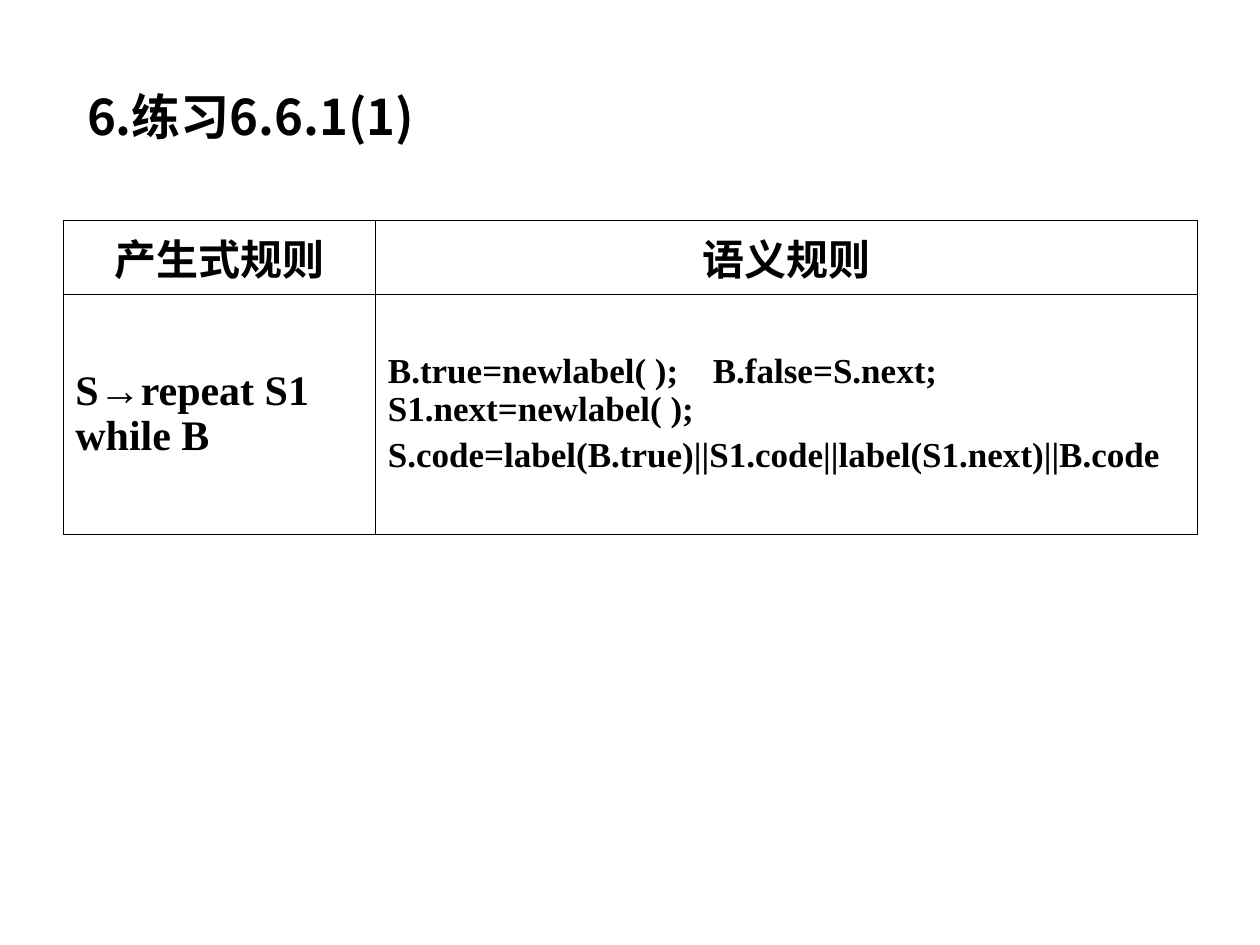
from lxml import etree
from pptx import Presentation
from pptx import util as u
from pptx.dml.color import RGBColor
from pptx.enum import text
from pptx.oxml.ns import qn

COLORS = {"ink": "000000", "paper": "FFFFFF"}
CJK, SERIF, SANS = "Noto Sans CJK SC", "Times New Roman", "Arial"


def add_run(p, words, font, size):
    r = p.add_run()
    r.text = words
    r.font.name = font
    r.font.size = u.Pt(size)
    r.font.bold = True
    r.font.color.rgb = RGBColor.from_string(COLORS["ink"])
    etree.SubElement(r.font._element, qn("a:ea"), typeface=font)


def add_borders(cell):
    tcPr = cell._tc.get_or_add_tcPr()
    for i, side in enumerate(("lnL", "lnR", "lnT", "lnB")):
        ln = etree.Element(qn(f"a:{side}"), w=str(u.Pt(0.45)))
        fill = etree.SubElement(ln, qn("a:solidFill"))
        etree.SubElement(fill, qn("a:srgbClr"), val=COLORS["ink"])
        tcPr.insert(i, ln)


prs = Presentation()
prs.slide_width, prs.slide_height = u.Cm(25.4), u.Cm(19.05)
s = prs.slides.add_slide(prs.slide_layouts[5])

title = s.shapes.title
title.left, title.top = u.Cm(1.5), u.Cm(1.73)
title.width, title.height = u.Cm(22.4), u.Cm(1.98)
tf = title.text_frame
tf.auto_size = text.MSO_AUTO_SIZE.NONE
tf.vertical_anchor = text.MSO_ANCHOR.TOP
p = tf.paragraphs[0]
p.alignment = text.PP_ALIGN.LEFT
p.line_spacing = 0.93
add_run(p, "6.练习6.6.1(1)", CJK, 28)

CENTER, LEFT = text.PP_ALIGN.CENTER, text.PP_ALIGN.LEFT
rows = [
    [
        (CENTER, 6, 24, [[("产生式规则", CJK)]]),
        (CENTER, 6, 24, [[("语义规则", CJK)]]),
    ],
    [
        (LEFT, 6, 24, [[("S", SERIF), ("→", SANS), ("repeat S1 while B", SERIF)]]),
        (LEFT, 5, 20, [
            [("B.true=newlabel( );\tB.false=S.next; S1.next=newlabel( );", SERIF)],
            [("S.code=label(B.true)||S1.code||label(S1.next)||B.code", SERIF)],
        ]),
    ],
]

frame = s.shapes.add_table(2, 2, u.Cm(1.27), u.Cm(4.45), u.Cm(22.86), u.Cm(6.32))
table = frame.table
table.first_row = False
table.horz_banding = False
for col, width in zip(table.columns, (6.3, 16.56)):
    col.width = u.Cm(width)
for row, height in zip(table.rows, (1.49, 4.83)):
    row.height = u.Cm(height)

for i, row in enumerate(rows):
    for j, (align, before, size, lines) in enumerate(row):
        cell = table.cell(i, j)
        cell.fill.solid()
        cell.fill.fore_color.rgb = RGBColor.from_string(COLORS["paper"])
        add_borders(cell)
        cell.vertical_anchor = text.MSO_ANCHOR.MIDDLE
        cell.margin_left = cell.margin_right = u.Cm(0.25)
        cell.margin_top = cell.margin_bottom = u.Cm(0.13)
        tf = cell.text_frame
        for k, runs in enumerate(lines):
            p = tf.add_paragraph() if k else tf.paragraphs[0]
            p.alignment = align
            p.space_before = u.Pt(before)
            p.line_spacing = 0.96
            for words, font in runs:
                add_run(p, words, font, size)
            if "\t" in p.text:
                tabs = etree.SubElement(p._p.get_or_add_pPr(), qn("a:tabLst"))
                etree.SubElement(tabs, qn("a:tab"), pos=str(u.Cm(6.55)), algn="l")

prs.save("out.pptx")
